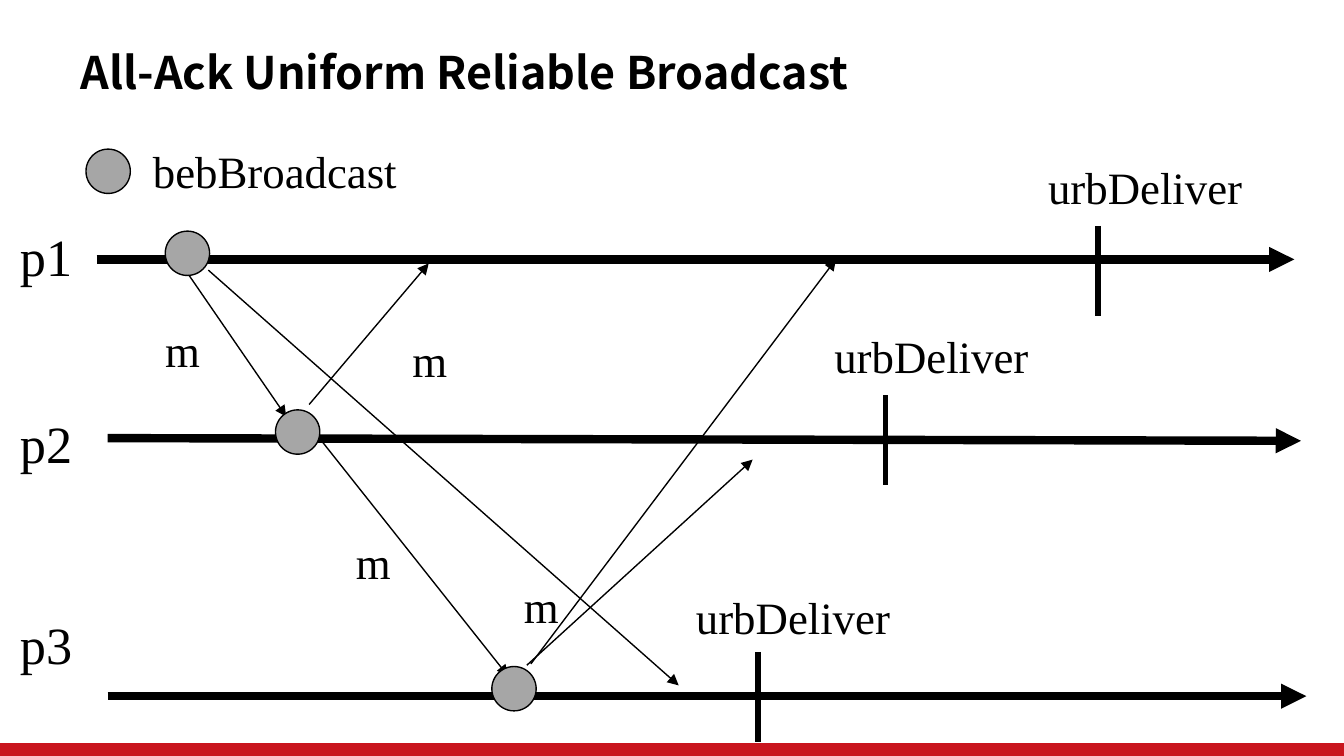
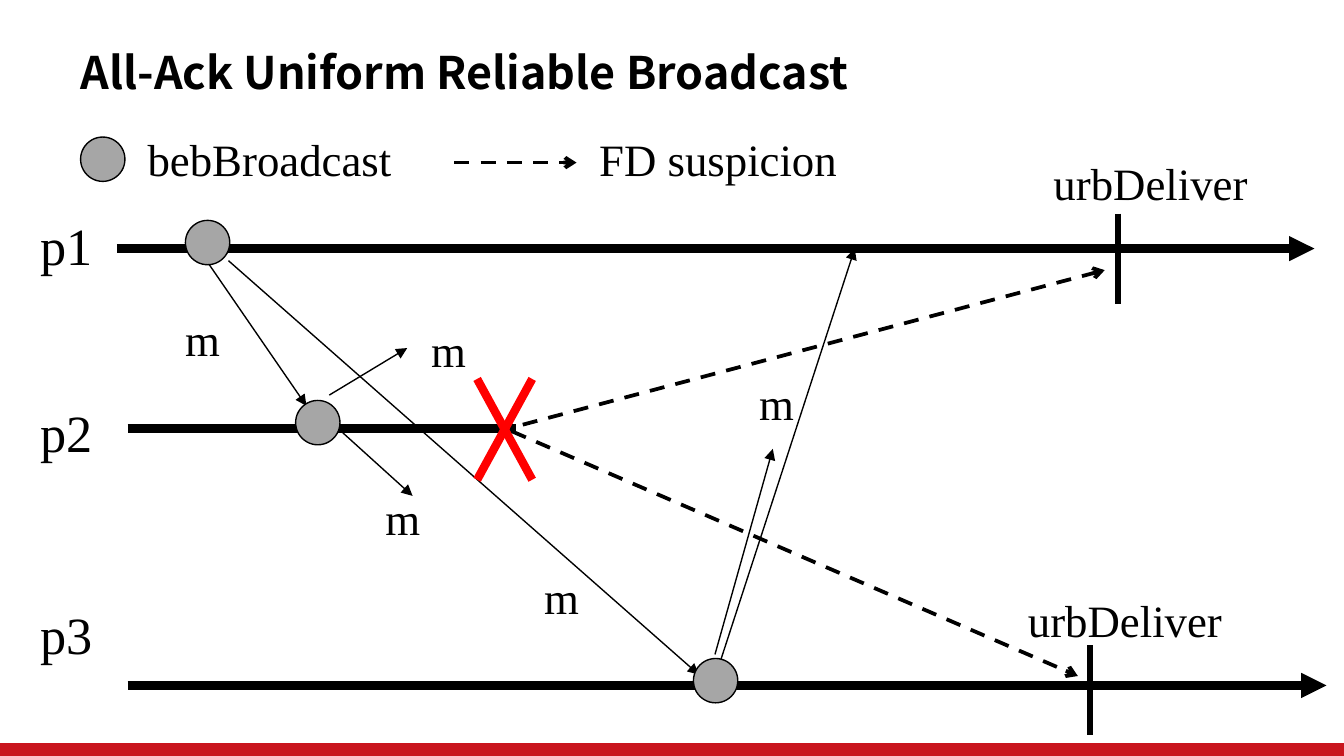
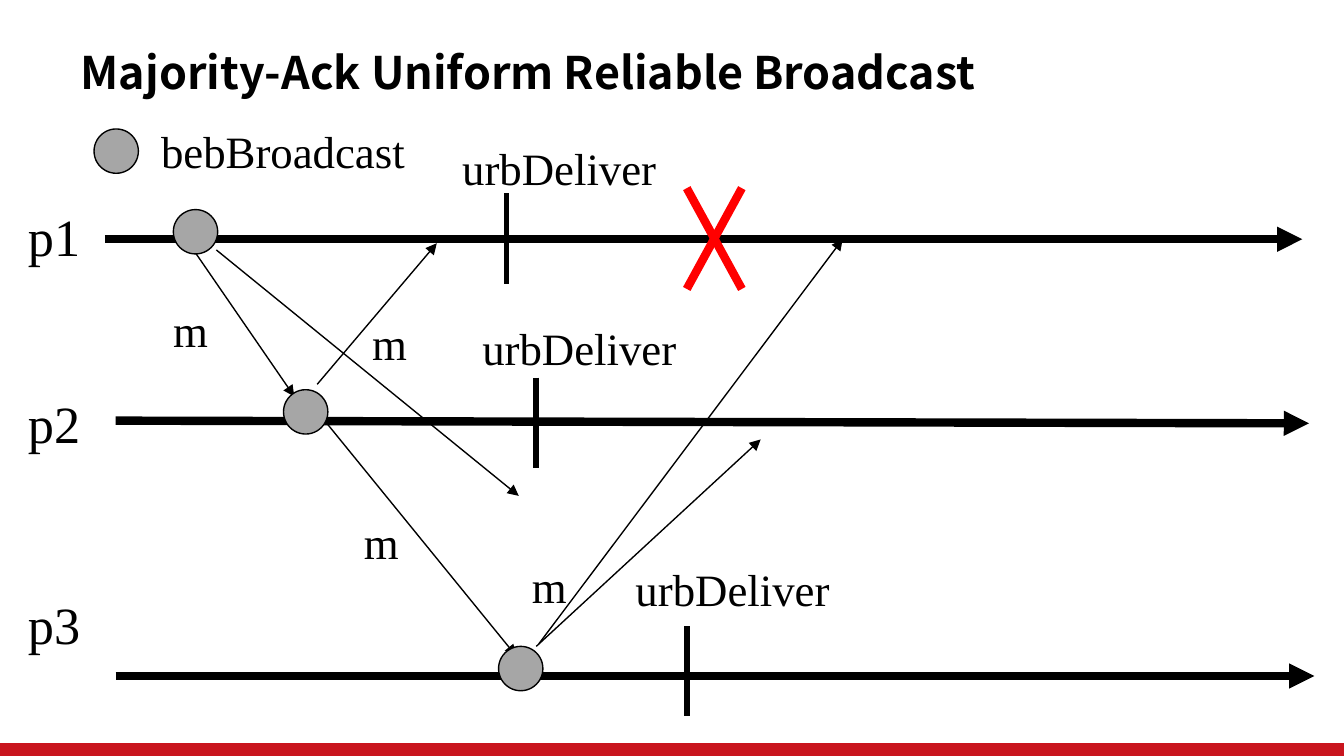
from lxml.etree import SubElement
from pptx import Presentation
from pptx.dml.color import RGBColor
from pptx.enum.dml import MSO_LINE
from pptx.enum.shapes import MSO_CONNECTOR, MSO_SHAPE
from pptx.enum.text import MSO_ANCHOR, MSO_AUTO_SIZE, PP_ALIGN
from pptx.oxml.ns import qn
from pptx.util import Inches, Pt

BLACK = RGBColor(0x00, 0x00, 0x00)
BAND_RED = RGBColor(0xC9, 0x15, 0x1E)
CRASH_RED = RGBColor(0xFF, 0x00, 0x00)
GRAY = RGBColor(0xA6, 0xA6, 0xA6)

TITLE_FONT = "Noto Sans CJK SC"
LABEL_FONT = "Times New Roman"
TITLE_ONLY = 5
WIDTH, HEIGHT = 10, 5.625
DOT_SIZE = 0.33
TICK_HEIGHT = 0.67


class TimelineDeck:
    """Draws space-time diagrams of processes; positions are in inches."""

    def __init__(self):
        self.presentation = Presentation()
        self.presentation.slide_width = Inches(WIDTH)
        self.presentation.slide_height = Inches(HEIGHT)
        self.slide = None

    def add_slide(self, title):
        layout = self.presentation.slide_layouts[TITLE_ONLY]
        self.slide = self.presentation.slides.add_slide(layout)
        shape = self.slide.shapes.title
        shape.left, shape.top = Inches(0.5), Inches(0.29)
        shape.width, shape.height = Inches(6.96), Inches(0.49)
        frame = shape.text_frame
        frame.text = title
        frame.word_wrap = False
        frame.auto_size = MSO_AUTO_SIZE.NONE
        frame.vertical_anchor = MSO_ANCHOR.MIDDLE
        paragraph = frame.paragraphs[0]
        paragraph.alignment = PP_ALIGN.LEFT
        self.set_font(paragraph, TITLE_FONT, 24)
        paragraph.font.bold = True

    @staticmethod
    def set_font(paragraph, name, size):
        paragraph.font.name = name
        paragraph.font.size = Pt(size)
        paragraph.font.color.rgb = BLACK

    def shape(self, kind, left, top, width, height, fill):
        shape = self.slide.shapes.add_shape(
            kind, Inches(left), Inches(top), Inches(width), Inches(height))
        shape.shadow.inherit = False
        shape.fill.solid()
        shape.fill.fore_color.rgb = fill
        return shape

    def master_band(self):
        """Put the bottom band on the master, so that every slide shows it."""
        band = self.shape(MSO_SHAPE.RECTANGLE, 0, 5.53, WIDTH, 0.1, BAND_RED)
        band.line.fill.background()
        band.element.nvSpPr.cNvPr.set("id", "100")
        self.presentation.slide_master.shapes.element.append(band.element)

    def label(self, text, left, top, width=0.46, height=0.5, size=24):
        box = self.slide.shapes.add_textbox(
            Inches(left), Inches(top), Inches(width), Inches(height))
        frame = box.text_frame
        frame.word_wrap = False
        frame.auto_size = MSO_AUTO_SIZE.SHAPE_TO_FIT_TEXT
        frame.text = text
        self.set_font(frame.paragraphs[0], LABEL_FONT, size)

    def line(self, start, end, weight, color=BLACK, arrow=None, dashed=False):
        points = [Inches(value) for value in (*start, *end)]
        connector = self.slide.shapes.add_connector(MSO_CONNECTOR.STRAIGHT, *points)
        connector.line.color.rgb = color
        connector.line.width = Pt(weight)
        if dashed:
            connector.line.dash_style = MSO_LINE.DASH
        properties = connector.element.spPr
        if arrow:
            SubElement(properties.find(qn("a:ln")), qn("a:tailEnd"), type=arrow)
        SubElement(properties, qn("a:effectLst"))

    def timeline(self, start, end, arrow="triangle"):
        self.line(start, end, 4.5, arrow=arrow)

    def processes(self, dx, dy):
        """Draw what all diagrams share, moved by (dx, dy)."""
        self.timeline((0.72 + dx, 1.93 + dy), (9.63 + dx, 1.93 + dy))
        self.timeline((0.8 + dx, 5.18 + dy), (9.72 + dx, 5.18 + dy))
        for name, top in (("p1", 1.62), ("p2", 3.01), ("p3", 4.51)):
            self.label(name, 0.05 + dx, top + dy, 0.59, 0.57, 28)
        self.messages(((1.38 + dx, 2.01 + dy), (2.13 + dx, 3.1 + dy)))
        self.message_labels((1.13 + dx, 2.35 + dy))

    def messages(self, *arrows):
        for start, end in arrows:
            self.line(start, end, 0.75, arrow="triangle")

    def message_labels(self, *positions):
        for left, top in positions:
            self.label("m", left, top)

    def broadcasts(self, *positions):
        for left, top in positions:
            dot = self.shape(MSO_SHAPE.OVAL, left, top, DOT_SIZE, DOT_SIZE, GRAY)
            dot.line.color.rgb = BLACK
            dot.line.width = Pt(0.75)

    def broadcast_legend(self, left, top):
        self.broadcasts((left, top))
        self.label("bebBroadcast", left + 0.4, top - 0.09, 2.03, 0.51)

    def deliveries(self, *ticks):
        """Each tick is its x, its top, and the left and top of its label."""
        for x, top, label_left, label_top in ticks:
            self.line((x, top), (x, top + TICK_HEIGHT), 3)
            self.label("urbDeliver", label_left, label_top, 1.66, 0.51)

    def crash(self, left, top):
        right, bottom = left + 0.41, top + 0.75
        self.line((right, top), (left, bottom), 4.5, CRASH_RED)
        self.line((left, top), (right, bottom), 4.5, CRASH_RED)

    def suspicions(self, *arrows):
        for start, end in arrows:
            self.line(start, end, 2, arrow="arrow", dashed=True)


def all_ack(deck):
    deck.add_slide("All-Ack Uniform Reliable Broadcast")
    deck.master_band()
    deck.processes(0, 0)
    deck.timeline((0.8, 3.26), (9.68, 3.28))
    deck.messages(
        ((1.55, 2.01), (5.05, 5.1)),
        ((2.3, 3.01), (3.19, 1.96)),
        ((2.4, 3.29), (3.78, 5.03)),
        ((3.92, 4.95), (5.6, 3.42)),
        ((3.95, 4.94), (6.22, 1.93)))
    deck.message_labels((3.8, 4.26), (2.97, 2.43), (2.55, 3.93))
    deck.deliveries(
        (8.17, 1.68, 7.7, 1.14),
        (6.59, 2.94, 6.11, 2.4),
        (5.64, 4.85, 5.08, 4.34))
    deck.broadcasts((1.23, 1.72), (2.05, 3.05), (3.66, 4.96))
    deck.broadcast_legend(0.64, 1.11)


def all_ack_with_crash(deck):
    deck.add_slide("All-Ack Uniform Reliable Broadcast")
    deck.processes(0.15, -0.08)
    deck.timeline((0.95, 3.19), (3.84, 3.19), arrow=None)
    deck.messages(
        ((1.7, 1.94), (5.2, 5.02)),
        ((2.45, 2.94), (3.03, 2.59)),
        ((2.55, 3.22), (3.07, 3.69)),
        ((5.32, 4.87), (5.75, 3.34)),
        ((5.35, 4.95), (6.36, 1.85)))
    deck.message_labels((3.95, 4.19), (3.11, 2.35), (2.77, 3.6), (5.55, 2.75))
    deck.deliveries((8.32, 1.59, 7.74, 1.11), (8.11, 4.8, 7.55, 4.36))
    deck.broadcasts((1.38, 1.64), (2.2, 2.98), (5.16, 4.9))
    deck.broadcast_legend(0.6, 1.02)
    deck.crash(3.55, 2.82)
    deck.suspicions(
        ((3.89, 3.16), (8.22, 2.01)),
        ((3.81, 3.21), (8.02, 5.03)),
        ((3.38, 1.21), (4.29, 1.21)))
    deck.label("FD suspicion", 4.36, 0.93, 1.99, 0.51)


def majority_ack(deck):
    deck.add_slide("Majority-Ack Uniform Reliable Broadcast")
    deck.processes(0.06, -0.15)
    deck.timeline((0.86, 3.13), (9.74, 3.15))
    deck.messages(
        ((1.61, 1.86), (3.86, 3.69)),
        ((2.36, 2.86), (3.25, 1.81)),
        ((2.44, 3.16), (3.84, 4.88)),
        ((3.99, 4.81), (5.66, 3.27)),
        ((4.01, 4.79), (6.27, 1.78)))
    deck.message_labels((3.86, 4.11), (2.67, 2.3), (2.61, 3.78))
    deck.deliveries(
        (3.77, 1.44, 3.34, 1),
        (3.99, 2.81, 3.49, 2.34),
        (5.11, 4.66, 4.63, 4.13))
    deck.broadcasts((1.29, 1.56), (2.11, 2.9), (3.71, 4.81))
    deck.broadcast_legend(0.7, 0.96)
    deck.crash(5.11, 1.4)


def main():
    deck = TimelineDeck()
    all_ack(deck)
    all_ack_with_crash(deck)
    majority_ack(deck)
    deck.presentation.save("out.pptx")


if __name__ == "__main__":
    main()
